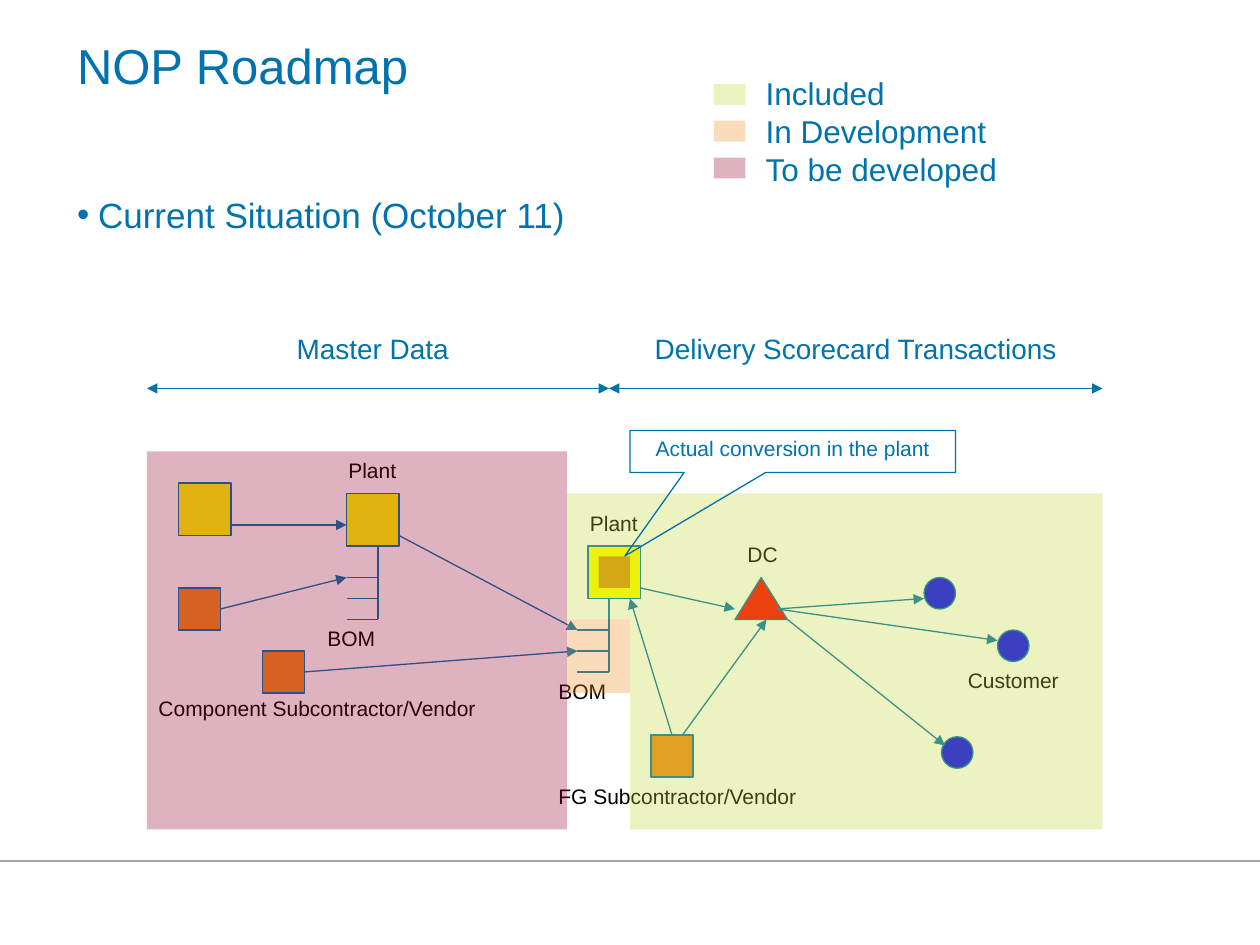
from lxml import etree
from pptx import Presentation
from pptx.dml.color import RGBColor
from pptx.enum import shapes, text
from pptx.oxml import ns
from pptx.util import Pt

COLORS = {
    "blue": "0073AE", "black": "000000", "gray": "A2A2A2", "yellow": "FFFF00",
    "orange": "F08B1D", "red": "FF0000", "customer": "0000FF",
    "included": "C1D72F", "development": "F08B1D", "planned": "98002E",
}
KIND = shapes.MSO_SHAPE
PLANT, VENDOR, CUSTOMER = 30, 24, 18


def color(name):
    return RGBColor.from_string(COLORS[name])


def format_text(frame, lines, size=12, fill="black", align="LEFT", bullet=False, spacing=None):
    for index, line in enumerate(lines.split("\n")):
        paragraph = frame.paragraphs[0] if index == 0 else frame.add_paragraph()
        paragraph.text = line
        paragraph.alignment = getattr(text.PP_ALIGN, align)
        if bullet:
            properties = paragraph._p.get_or_add_pPr()
            properties.set("marL", str(Pt(12)))
            properties.set("indent", str(Pt(-12)))
            etree.SubElement(properties, ns.qn("a:buFont")).set("typeface", "Arial")
            etree.SubElement(properties, ns.qn("a:buChar")).set("char", "•")
        if spacing:
            paragraph.line_spacing = spacing
        paragraph.font.name = "Arial"
        paragraph.font.size = Pt(size)
        paragraph.font.color.rgb = color(fill)


def add_text(slide, lines, left, top, width, height=22, wrap=False, **style):
    frame = slide.shapes.add_textbox(Pt(left), Pt(top), Pt(width), Pt(height)).text_frame
    frame.word_wrap = wrap
    if not wrap:
        frame.auto_size = text.MSO_AUTO_SIZE.SHAPE_TO_FIT_TEXT
    format_text(frame, lines, **style)


def add_block(slide, kind, left, top, width, height, fill=None, line="blue", alpha=None):
    shape = slide.shapes.add_shape(kind, Pt(left), Pt(top), Pt(width), Pt(height))
    shape.shadow.inherit = False
    if fill:
        shape.fill.solid()
        shape.fill.fore_color.rgb = color(fill)
    else:
        shape.fill.background()
    if alpha:
        element = shape.fill._xPr.find(".//" + ns.qn("a:srgbClr"))
        etree.SubElement(element, ns.qn("a:alpha")).set("val", str(alpha * 1000))
    if line:
        shape.line.color.rgb = color(line)
        shape.line.width = Pt(0.75)
    else:
        shape.line.fill.background()
    return shape


def add_zone(slide, left, top, width, height, status):
    add_block(slide, KIND.RECTANGLE, left, top, width, height, status, line=None, alpha=30)


def add_line(slide, start, end, ends=(), source=None, line="blue", width=0.75):
    connector = slide.shapes.add_connector(
        shapes.MSO_CONNECTOR.STRAIGHT, *(Pt(value) for value in (*start, *end)))
    if source:
        connector.begin_connect(*source)
    connector.line.color.rgb = color(line)
    connector.line.width = Pt(width)
    outline = connector.line._get_or_add_ln()
    for name in ends:
        etree.SubElement(outline, ns.qn("a:" + name)).set("type", "triangle")
    etree.SubElement(connector._element.spPr, ns.qn("a:effectLst"))


def add_bom(slide, left, top):
    stem = left + 18
    add_line(slide, (stem, top), (stem, top + 42))
    for offset in (18, 30, 42):
        add_line(slide, (stem, top + offset), (left, top + offset))


def add_headings(slide, left, top):
    add_text(slide, "NOP Roadmap", left, top, 648, 74, wrap=True, size=28, fill="blue")
    add_text(slide, "Current Situation (October 11)", left, top + 88, 648, 356,
             wrap=True, size=20, fill="blue", bullet=True, spacing=1.1)


def add_legend(slide, left, top):
    for index, status in enumerate(("included", "development", "planned")):
        add_zone(slide, left, top + 21 * index, 18, 12, status)
    add_text(slide, "Included\nIn Development\nTo be developed",
             left + 22.5, top - 9, 149, 72, size=18, fill="blue")


def add_spans(slide, left, top):
    spans = (("Master Data", 0, 264, 0), ("Delivery Scorecard Transactions", 264, 546, 276))
    for label, start, end, label_left in spans:
        add_text(slide, label, left + label_left, top, 258, 27, wrap=True,
                 size=16, fill="blue", align="CENTER")
        add_line(slide, (left + start, top + 36), (left + end, top + 36), ("headEnd", "tailEnd"))


def add_master_data(slide, left, top):
    def at(x, y):
        return left + x, top + y

    for x, y in ((18, 18), (114, 24)):
        add_block(slide, KIND.RECTANGLE, *at(x, y), PLANT, PLANT, "yellow")
    vendors = [add_block(slide, KIND.RECTANGLE, *at(x, y), VENDOR, VENDOR, "orange")
               for x, y in ((18, 78), (66, 114))]
    add_bom(slide, *at(114, 54))
    flows = (
        ((48, 42), (114, 42), None),
        ((42, 90), (114, 72), (vendors[0], 3)),
        ((144, 48), (246, 102), None),
        ((90, 126), (246, 114), (vendors[1], 3)),
    )
    for start, end, source in flows:
        add_line(slide, at(*start), at(*end), ("tailEnd",), source)
    add_text(slide, "Plant", *at(108, 0), 42)
    add_text(slide, "BOM", *at(96, 96), 42)
    add_text(slide, "Component Subcontractor/Vendor", *at(-0.5, 136), 197)


def add_transactions(slide, left, top):
    def at(x, y):
        return left + x, top + y

    for x, y in ((204, 48), (246, 78), (214, 139)):
        add_block(slide, KIND.OVAL, *at(x, y), CUSTOMER, CUSTOMER, "customer")
    add_block(slide, KIND.ISOSCELES_TRIANGLE, *at(96, 48), 30, 24, "red")
    add_block(slide, KIND.RECTANGLE, *at(12, 30), PLANT, PLANT, "yellow")
    vendor = add_block(slide, KIND.RECTANGLE, *at(48, 138), VENDOR, VENDOR, "orange")
    add_bom(slide, *at(6, 60))
    flows = (
        ((42, 54), (96, 66), None),
        ((120, 66), (204, 60), None),
        ((120, 66), (246, 84), None),
        ((126, 72), (216, 144), None),
        ((60, 138), (36, 60), (vendor, 0)),
        ((66, 138), (114, 72), None),
    )
    for start, end, source in flows:
        add_line(slide, at(*start), at(*end), ("tailEnd",), source)
    add_text(slide, "Plant", *at(6, 6), 42)
    add_text(slide, "DC", *at(96, 24), 32)
    add_text(slide, "Customer", *at(222, 96), 67)
    add_text(slide, "BOM", *at(-12, 102), 42)
    add_text(slide, "FG Subcontractor/Vendor", *at(-12, 162), 151)


def add_status_zones(slide, left, top):
    zones = (
        (240, 24, 306, 72, "included"),
        (276, 96, 270, 120, "included"),
        (240, 96, 36, 42, "development"),
        (0, 0, 240, 216, "planned"),
        (258, 60, 18, 18, "planned"),
    )
    for x, y, width, height, status in zones:
        add_zone(slide, left + x, top + y, width, height, status)


def add_callout(slide, left, top):
    callout = add_block(slide, KIND.RECTANGULAR_CALLOUT, left, top, 186, 24)
    callout.adjustments[0] = -0.516
    callout.adjustments[1] = 2.49
    frame = callout.text_frame
    frame.margin_top, frame.margin_bottom = 0, Pt(4)
    frame.vertical_anchor = text.MSO_ANCHOR.MIDDLE
    format_text(frame, "Actual conversion in the plant", fill="blue", align="CENTER")


def main():
    presentation = Presentation()
    presentation.slide_width, presentation.slide_height = Pt(720), Pt(540)
    slide = presentation.slides.add_slide(presentation.slide_layouts[6])
    add_line(slide, (0, 492), (720, 492), line="gray", width=1.5)
    add_headings(slide, 37, 16.5)
    add_master_data(slide, 84, 258)
    add_transactions(slide, 324, 282)
    add_spans(slide, 84, 186)
    add_status_zones(slide, 84, 258)
    add_legend(slide, 408, 48)
    add_callout(slide, 360, 246)
    presentation.save("out.pptx")


if __name__ == "__main__":
    main()
